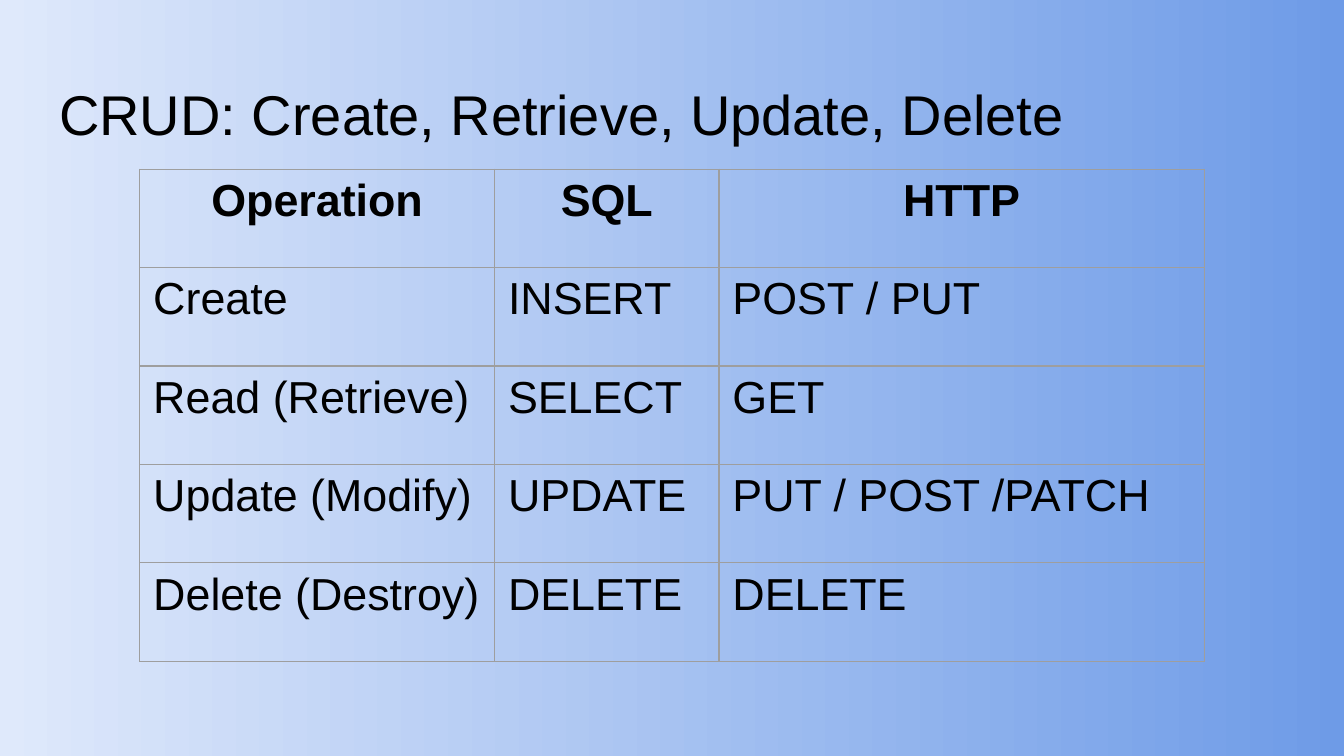
import pptx
import pptx.util
import pptx.dml.color
import pptx.enum.text
import pptx.oxml
from pptx.util import Inches

BLACK = pptx.dml.color.RGBColor(0x00, 0x00, 0x00)
PALE = pptx.dml.color.RGBColor(0xDF, 0xE9, 0xFB)
BLUE = pptx.dml.color.RGBColor(0x6E, 0x9B, 0xE7)
GREY = pptx.dml.color.RGBColor(0x9E, 0x9E, 0x9E)
ALIGN = pptx.enum.text.PP_ALIGN
NS = "http://schemas.openxmlformats.org/drawingml/2006/main"


def style(para, size, align, bold=False):
    para.alignment = align
    para.font.name = "Arial"
    para.font.size = pptx.util.Pt(size)
    para.font.bold = bold
    para.font.color.rgb = BLACK


def border(cell):
    props = cell._tc.get_or_add_tcPr()
    for i, side in enumerate(("lnL", "lnR", "lnT", "lnB")):
        line = pptx.oxml.parse_xml(
            f'<a:{side} xmlns:a="{NS}" w="{pptx.util.Pt(0.75)}"><a:solidFill>'
            f'<a:srgbClr val="{GREY}"/></a:solidFill></a:{side}>')
        props.insert(i, line)


# Widescreen slide, 16 to 9
deck = pptx.Presentation()
deck.slide_width = Inches(10)
deck.slide_height = Inches(10) * 9 // 16
slide = deck.slides.add_slide(deck.slide_layouts[5])

# Background gradient, left to right
fill = slide.background.fill
fill.gradient()
fill.gradient_angle = 0
for stop, color in zip(fill.gradient_stops, (PALE, BLUE)):
    stop.color.rgb = color

# Title
title = slide.shapes.title
title.left, title.top = Inches(0.34), Inches(0.49)
title.width, title.height = Inches(9.32), Inches(0.63)
frame = title.text_frame
frame.text = "CRUD: Create, Retrieve, Update, Delete"
frame.word_wrap = True
frame.auto_size = pptx.enum.text.MSO_AUTO_SIZE.NONE
frame.vertical_anchor = pptx.enum.text.MSO_ANCHOR.TOP
frame.margin_left = frame.margin_right = Inches(0.1)
frame.margin_top = frame.margin_bottom = Inches(0.1)
style(frame.paragraphs[0], 30, ALIGN.LEFT)

# Table of operations
rows = [
    ("Operation", "SQL", "HTTP"),
    ("Create", "INSERT", "POST / PUT"),
    ("Read (Retrieve)", "SELECT", "GET"),
    ("Update (Modify)", "UPDATE", "PUT / POST /PATCH"),
    ("Delete (Destroy)", "DELETE", "DELETE"),
]
widths = (2.64, 1.67, 3.61)
table = slide.shapes.add_table(
    len(rows), len(widths), Inches(1.04), Inches(1.26),
    Inches(sum(widths)), Inches(3.66)).table
table.first_row = False
table.horz_banding = False
for col, width in zip(table.columns, widths):
    col.width = Inches(width)

for r, words in enumerate(rows):
    head = r == 0
    for c, word in enumerate(words):
        cell = table.cell(r, c)
        cell.text = word
        cell.fill.background()
        cell.margin_left = cell.margin_right = Inches(0.1)
        cell.margin_top = cell.margin_bottom = Inches(0.05)
        border(cell)
        style(cell.text_frame.paragraphs[0], 24,
              ALIGN.CENTER if head else ALIGN.LEFT, head)

deck.save("out.pptx")
